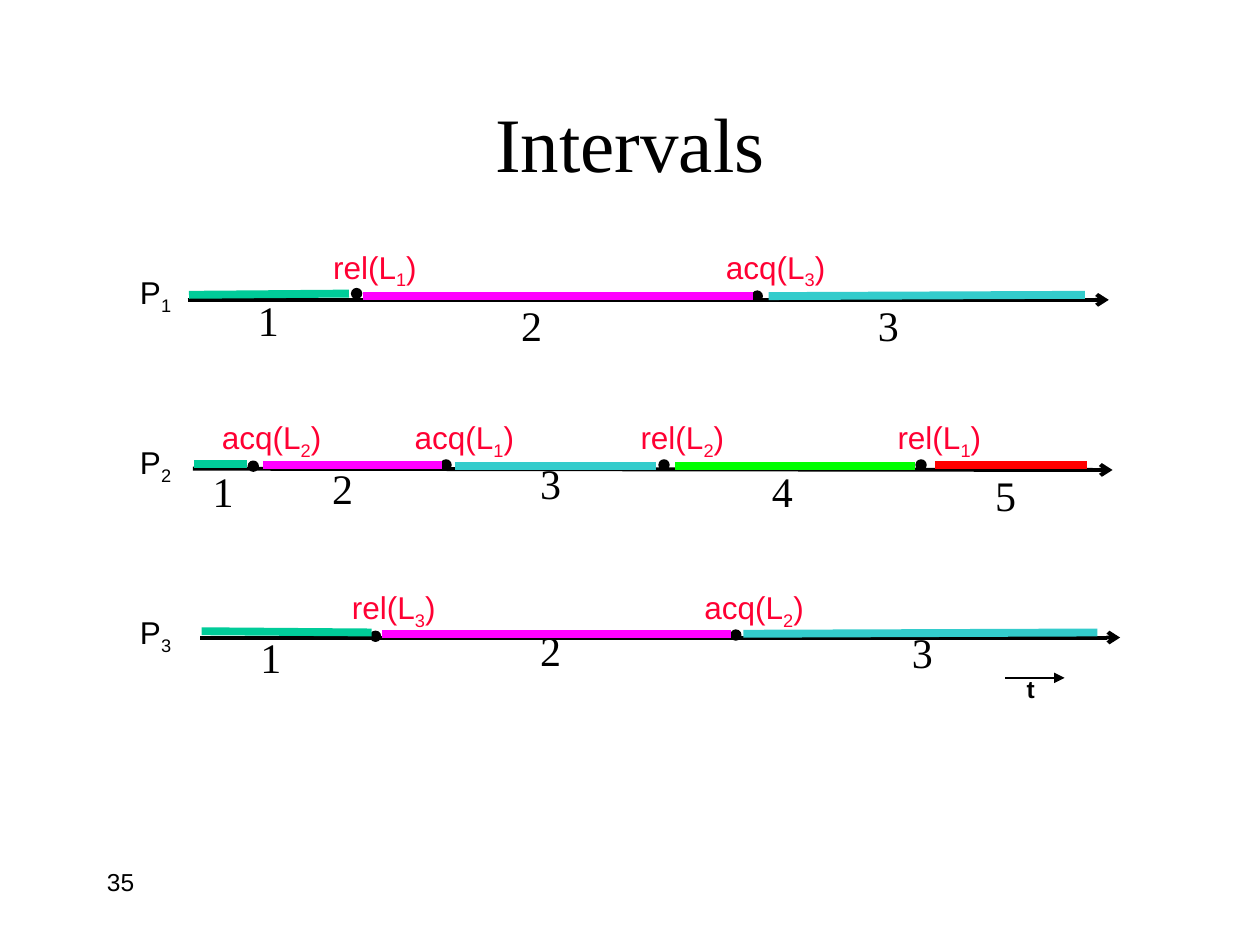
from dataclasses import dataclass

from lxml.etree import SubElement
from pptx import Presentation
from pptx.dml.color import RGBColor
from pptx.enum.shapes import MSO_CONNECTOR, MSO_SHAPE
from pptx.enum.text import MSO_ANCHOR, PP_ALIGN
from pptx.oxml import parse_xml
from pptx.oxml.ns import nsdecls, qn
from pptx.util import Inches, Pt


@dataclass(frozen=True)
class Theme:
    ink: str = "000000"
    event: str = "FF0033"
    green: str = "00CC99"
    pink: str = "FF00FF"
    teal: str = "33CCCC"
    lime: str = "00FF00"
    red: str = "FF0000"
    sans: str = "Arial"
    serif: str = "Times New Roman"
    title: float = 44
    count: float = 24
    label: float = 18
    small: float = 14
    axis: float = 2.25
    bar: float = 4.5
    thin: float = 1
    edge: float = 0.75


THEME = Theme()
HUES = [THEME.green, THEME.pink, THEME.teal, THEME.lime, THEME.red]
TOP, PITCH = 2.12, 1.35  # process names, one row to the next
DOT = 0.08

# axis: start x, start y, end x, end y
# bars: the same, one per interval, coloured in the order of HUES
# events: dot centre x and y, call, lock
# counts: left and top of each interval number
ROWS = [
    {
        "axis": (1.49, 2.38, 8.8, 2.38),
        "bars": [(1.5, 2.34, 2.77, 2.33), (2.88, 2.35, 5.98, 2.35),
                 (6.1, 2.35, 8.61, 2.34)],
        "events": [(2.83, 2.33, "rel", 1), (6.01, 2.35, "acq", 3)],
        "counts": [(1.92, 2.33), (4.01, 2.37), (6.84, 2.37)],
    },
    {
        "axis": (1.53, 3.72, 8.83, 3.73),
        "bars": [(1.54, 3.68, 1.96, 3.68), (2.09, 3.69, 3.51, 3.69),
                 (3.61, 3.7, 5.21, 3.7), (5.36, 3.7, 7.26, 3.7),
                 (7.42, 3.69, 8.63, 3.69)],
        "events": [(2.01, 3.7, "acq", 2), (3.54, 3.69, "acq", 1),
                   (5.27, 3.69, "rel", 2), (7.31, 3.69, "rel", 1)],
        "counts": [(1.56, 3.69), (2.51, 3.67), (4.16, 3.63),
                   (6, 3.69), (7.77, 3.72)],
    },
    {
        "axis": (1.59, 5.06, 8.89, 5.06),
        "bars": [(1.6, 5.01, 2.95, 5.02), (3.03, 5.03, 5.8, 5.03),
                 (5.9, 5.03, 8.71, 5.02)],
        "events": [(2.98, 5.05, "rel", 3), (5.84, 5.04, "acq", 2)],
        "counts": [(1.94, 5.01), (4.16, 4.95), (7.11, 4.97)],
    },
]


def add_text(slide, box, parts, size, face=THEME.sans, hue=THEME.ink,
             align=PP_ALIGN.CENTER, wrap=True, bold=False, space=0.9,
             anchor=MSO_ANCHOR.TOP):
    """Add one paragraph; every second part is a subscript."""
    frame = slide.shapes.add_textbox(*map(Inches, box)).text_frame
    frame.word_wrap = wrap
    frame.vertical_anchor = anchor
    para = frame.paragraphs[0]
    para.alignment = align
    para.line_spacing = space
    style = {"size": Pt(size), "name": face, "bold": bold}
    for i, part in enumerate(parts):
        run = para.add_run()
        run.text = part
        for key, value in style.items():
            setattr(run.font, key, value)
        run.font.color.rgb = RGBColor.from_string(hue)
        if i % 2:
            run.font._element.set("baseline", "-25000")
    return para


def add_line(slide, ends, hue, width, head=None):
    line = slide.shapes.add_connector(MSO_CONNECTOR.STRAIGHT,
                                      *map(Inches, ends))
    line.line.color.rgb = RGBColor.from_string(hue)
    line.line.width = Pt(width)
    if head:
        SubElement(line.line._get_or_add_ln(), qn("a:tailEnd"), type=head)
    SubElement(line._element.spPr, qn("a:effectLst"))


def add_dot(slide, x, y):
    box = (x - DOT / 2, y - DOT / 2, DOT, DOT)
    dot = slide.shapes.add_shape(MSO_SHAPE.OVAL, *map(Inches, box))
    dot.shadow.inherit = False
    dot.fill.solid()
    for paint in (dot.fill.fore_color, dot.line.color):
        paint.rgb = RGBColor.from_string(THEME.ink)
    dot.line.width = Pt(THEME.edge)


def add_row(slide, index, row):
    top = TOP + index * PITCH
    add_line(slide, row["axis"], THEME.ink, THEME.axis, "arrow")
    add_text(slide, (1.01, top, 0.45, 0.41), ["P", str(index + 1)],
             THEME.label, wrap=False)
    for x, y, call, lock in row["events"]:
        add_text(slide, (x - 0.48, top - 0.2, 1.25, 0.41),
                 [f"{call}(L", str(lock), ")"], THEME.label, hue=THEME.event)
        add_dot(slide, x, y)
    for ends, hue in zip(row["bars"], HUES):
        add_line(slide, ends, hue, THEME.bar)
    for number, (x, y) in enumerate(row["counts"], 1):
        add_text(slide, (x, y, 0.42, 0.46), [str(number)],
                 THEME.count, THEME.serif)


def add_time(slide):
    add_line(slide, (7.98, 5.38, 8.45, 5.38), THEME.ink, THEME.thin,
             "triangle")
    para = add_text(slide, (8.05, 5.33, 0.26, 0.31), ["t"], THEME.small,
                    wrap=False, bold=True)
    shade = parse_xml(
        f'<a:effectLst {nsdecls("a")}><a:outerShdw dist="17961" dir="2700000">'
        '<a:srgbClr val="808080"/></a:outerShdw></a:effectLst>')
    para.runs[0].font._element.find(qn("a:solidFill")).addnext(shade)


def main():
    deck = Presentation()
    deck.slide_width, deck.slide_height = Inches(10), Inches(7.5)
    slide = deck.slides.add_slide(deck.slide_layouts[6])
    add_text(slide, (0.75, 0.5, 8.5, 1.25), ["Intervals"], THEME.title,
             THEME.serif, space=1, anchor=MSO_ANCHOR.MIDDLE)
    for index, row in enumerate(ROWS):
        add_row(slide, index, row)
    add_time(slide)
    add_text(slide, (0.75, 6.83, 2.08, 0.5), ["35"], THEME.small,
             align=PP_ALIGN.LEFT, space=1)
    deck.save("out.pptx")


if __name__ == "__main__":
    main()
